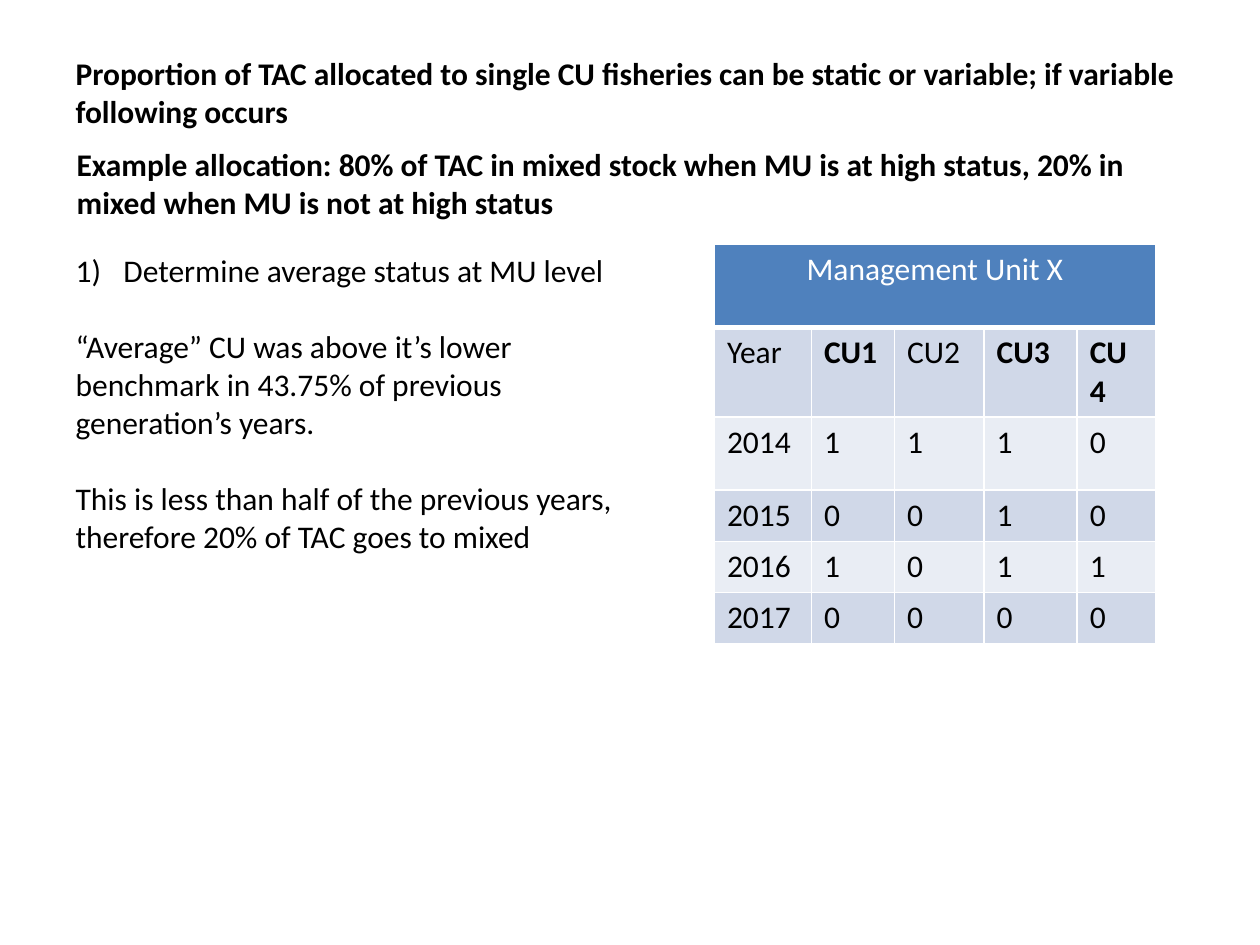
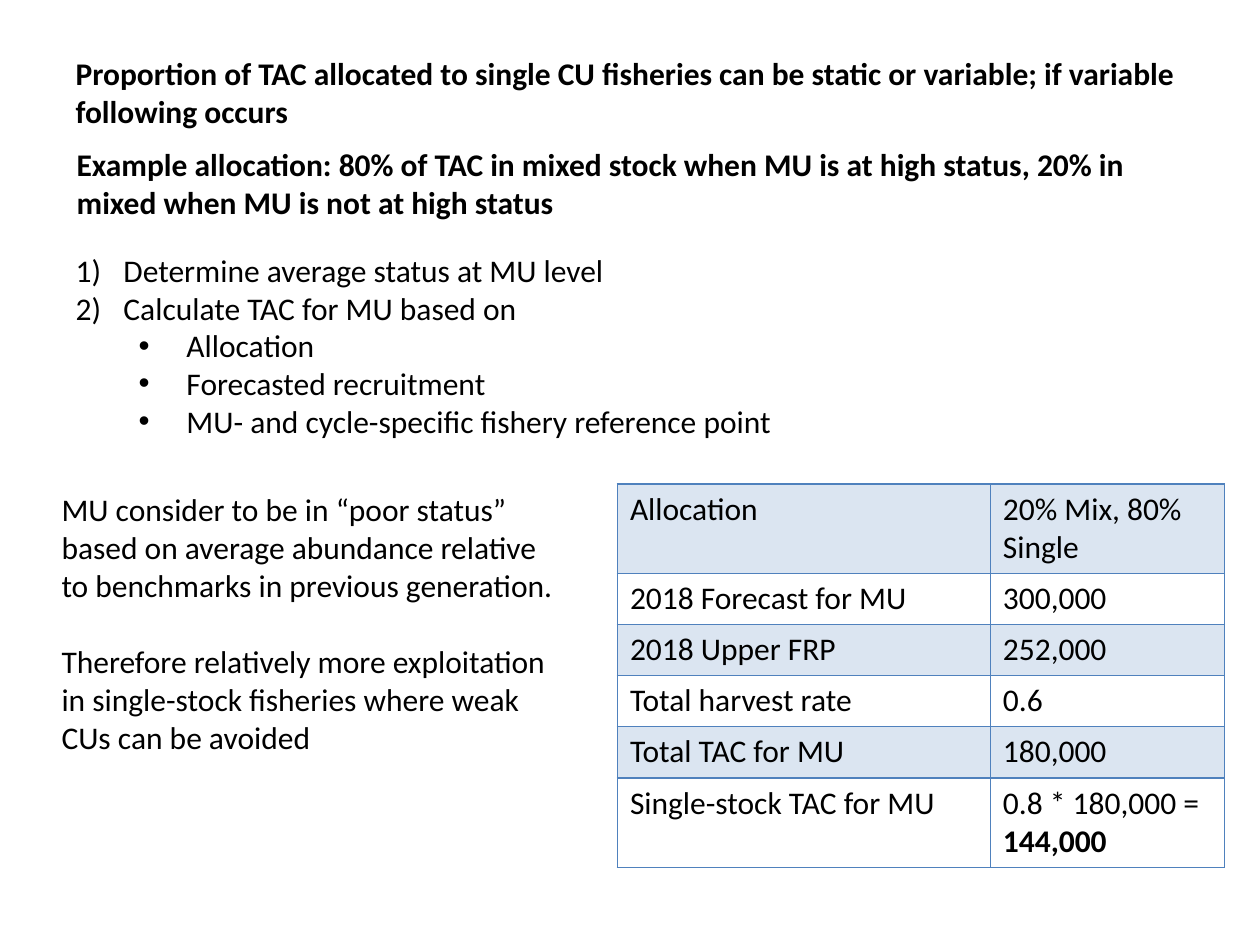
from lxml.etree import SubElement
from pptx import Presentation
from pptx.dml.color import RGBColor
from pptx.enum.text import MSO_ANCHOR, MSO_AUTO_SIZE as AutoSize, PP_ALIGN as Align
from pptx.oxml.ns import qn
from pptx.util import Inches, Pt

COLORS = {"text": "000000", "white": "FFFFFF", "accent": "4F81BD",
          "band_dark": "D0D8E8", "band_light": "E9EDF4"}
FONT, SIZE, LINE = "Calibri", 18, 22
COLS, ROWS = 100, 75          # slide grid
UNIT = Inches(0.1)            # one grid step
HANG = Inches(0.38)

TITLE = ("Proportion of TAC allocated to single CU fisheries can be static "
         "or variable; if variable following occurs")
EXAMPLE = ("Example allocation: 80% of TAC in mixed stock when MU is at high "
           "status, 20% in mixed when MU is not at high status")
STEP_1 = "Determine average status at MU level"


def grid(*steps):
    """Turn grid steps into slide lengths."""
    return [round(s * UNIT) for s in steps]


def add_run(p, text, bold=False, color="text"):
    """Add one run in the shared font."""
    r = p.add_run()
    r.text = text
    r.font.name, r.font.size, r.font.bold = FONT, Pt(SIZE), bold
    r.font.color.rgb = RGBColor.from_string(COLORS[color])


def set_marker(p, marker):
    """Give a paragraph a number, a bullet or no marker."""
    pPr = p._p.get_or_add_pPr()
    left = {"number": HANG, "bullet": Inches(0.5) + HANG}.get(marker, 0)
    pPr.set("marL", str(left))
    pPr.set("indent", str(-HANG if marker else 0))
    if marker == "number":
        SubElement(pPr, qn("a:buFont"), typeface="+mj-lt")
        SubElement(pPr, qn("a:buAutoNum"), type="arabicParenR")
    elif marker == "bullet":
        SubElement(pPr, qn("a:buFont"), typeface="Arial")
        SubElement(pPr, qn("a:buChar"), char="•")
    else:
        SubElement(pPr, qn("a:buNone"))


def fill_text(sp, box, items, bold=False):
    """Place a shape and write (text, marker) items; plain ones get a gap."""
    sp.left, sp.top, sp.width, sp.height = grid(*box)
    tf = sp.text_frame
    tf.word_wrap, tf.auto_size = True, AutoSize.NONE
    tf.vertical_anchor = MSO_ANCHOR.TOP
    for i, (text, marker) in enumerate(items):
        p = tf.add_paragraph() if i else tf.paragraphs[0]
        p.alignment = Align.LEFT
        p.level = 1 if marker == "bullet" else 0
        p.space_before = Pt(LINE if i and not marker else 0)
        set_marker(p, marker)
        add_run(p, text, bold)


def add_text(s, box, items, bold=False):
    """Add a text box."""
    fill_text(s.shapes.add_textbox(*grid(*box)), box, items, bold)


def add_slide(prs, list_box, items):
    """Add a slide with the shared headings and its list."""
    s = prs.slides.add_slide(prs.slide_layouts[1])
    fill_text(s.shapes.title, (5, 3.8, 90.1, 7.1), [(TITLE, None)], bold=True)
    fill_text(s.placeholders[1], list_box, items)
    add_text(s, (5.1, 11, 90.1, 7.1), [(EXAMPLE, None)], bold=True)
    return s


def add_table(s, left, top, widths, heights):
    """Add an unstyled table with the given column and row steps."""
    box = grid(left, top, sum(widths), sum(heights))
    table = s.shapes.add_table(len(heights), len(widths), *box).table
    table.first_row = table.horz_banding = False
    for col, w in zip(table.columns, grid(*widths)):
        col.width = w
    for row, h in zip(table.rows, grid(*heights)):
        row.height = h
    return table


def format_cell(cell, border, fill=None, alpha=None, top=1, bottom=1):
    """Set a cell's borders, then its fill."""
    tcPr = cell._tc.get_or_add_tcPr()
    for side, width in zip("LRTB", (1, 1, top, bottom)):
        ln = SubElement(tcPr, qn(f"a:ln{side}"), w=str(Pt(width)))
        paint = SubElement(ln, qn("a:solidFill"))
        SubElement(paint, qn("a:srgbClr"), val=COLORS[border])
    if fill is None:
        cell.fill.background()
        return
    cell.fill.solid()
    cell.fill.fore_color.rgb = RGBColor.from_string(COLORS[fill])
    if alpha:
        clr = tcPr.find(qn("a:solidFill"))[0]
        SubElement(clr, qn("a:alpha"), val=str(alpha * 1000))


def add_status_table(s):
    """Add the yearly status of each CU in the management unit."""
    rows = [("Year", "CU1", "CU2", "CU3", "CU4"),
            ("2014", "1", "1", "1", "0"),
            ("2015", "0", "0", "1", "0"),
            ("2016", "1", "0", "1", "1"),
            ("2017", "0", "0", "0", "0")]
    table = add_table(s, 56.7, 19.4, (7.7, 6.6, 7.1, 7.4, 6.2),
                      (6.6, 6.6, 5.8, 4, 4, 4))
    head = table.cell(0, 0)
    head.merge(table.cell(0, 4))
    for c in range(5):
        format_cell(table.cell(0, c), "white", "accent", bottom=3)
    p = head.text_frame.paragraphs[0]
    p.alignment = Align.CENTER
    add_run(p, "Management Unit X", color="white")
    for r, values in enumerate(rows, 1):
        for c, text in enumerate(values):
            cell = table.cell(r, c)
            format_cell(cell, "white", "band_dark" if r % 2 else "band_light",
                        top=3 if r == 1 else 1)
            add_run(cell.text_frame.paragraphs[0], text,
                    bold=text in ("CU1", "CU3", "CU4"))


def add_tac_table(s):
    """Add the TAC calculation for the management unit."""
    rows = [("Allocation", "20% Mix, 80% Single"),
            ("2018 Forecast for MU", "300,000"),
            ("2018 Upper FRP", "252,000"),
            ("Total harvest rate", "0.6"),
            ("Total TAC for MU", "180,000"),
            ("Single-stock TAC for MU", "0.8 * 180,000 = ")]
    table = add_table(s, 49, 38.4, (29.6, 18.6), (7, 4, 4, 4, 4, 7))
    for r, values in enumerate(rows):
        for c, text in enumerate(values):
            cell = table.cell(r, c)
            format_cell(cell, "accent", None if r % 2 else "accent", alpha=20)
            add_run(cell.text_frame.paragraphs[0], text)
    add_run(table.cell(5, 1).text_frame.paragraphs[0], "144,000", bold=True)


def main():
    """Build both slides and save them."""
    prs = Presentation()
    prs.slide_width, prs.slide_height = grid(COLS, ROWS)

    s = add_slide(prs, (5, 19.4, 45.1, 25.2), [
        (STEP_1, "number"),
        ("“Average” CU was above it’s lower benchmark in 43.75% of previous "
         "generation’s years.", None),
        ("This is less than half of the previous years, therefore 20% of TAC "
         "goes to mixed", None)])
    add_status_table(s)

    s = add_slide(prs, (5, 19.4, 67.2, 16.2), [
        (STEP_1, "number"),
        ("Calculate TAC for MU based on", "number"),
        ("Allocation", "bullet"),
        ("Forecasted recruitment", "bullet"),
        ("MU- and cycle-specific fishery reference point", "bullet")])
    add_tac_table(s)
    add_text(s, (3.9, 38.4, 41.7, 22.2), [
        ("MU consider to be in “poor status” based on average abundance "
         "relative to benchmarks in previous generation.", None),
        ("Therefore relatively more exploitation in single-stock fisheries "
         "where weak CUs can be avoided", None)])

    prs.save("out.pptx")


main()
